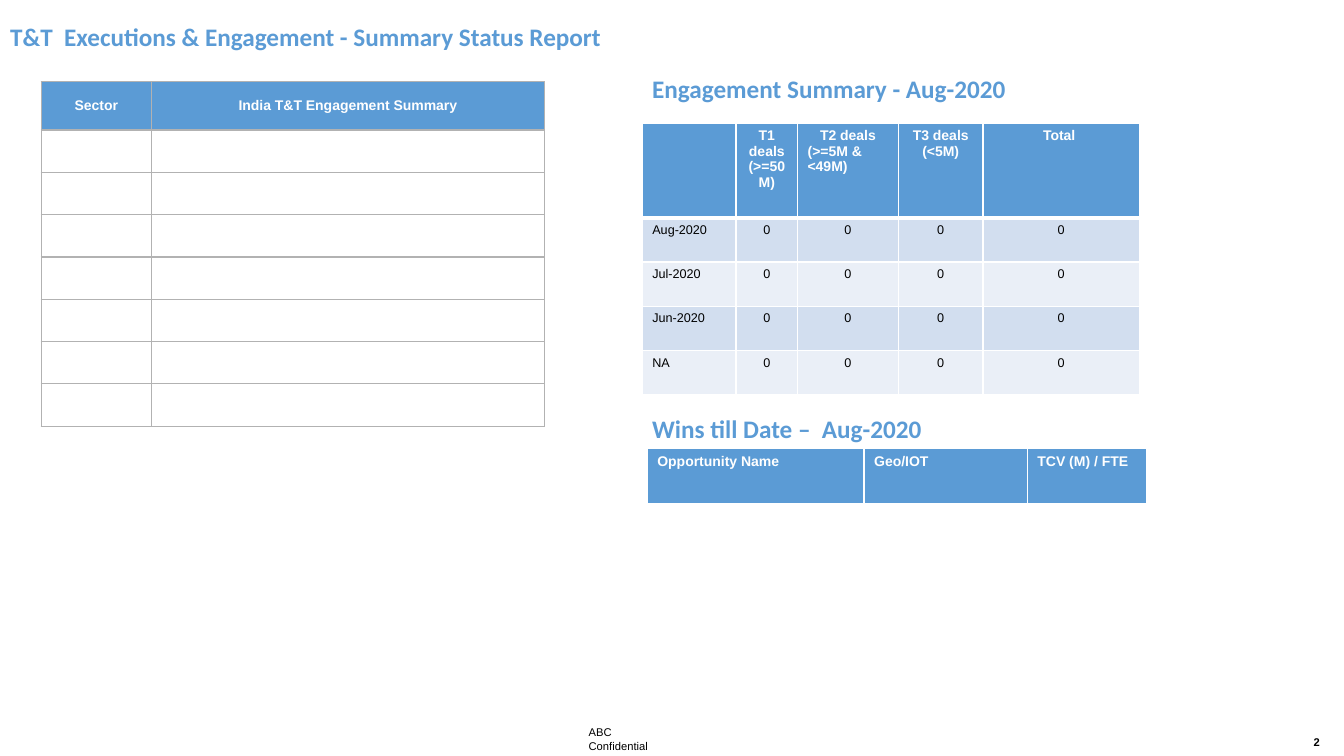
from lxml.etree import SubElement
from pptx import Presentation
from pptx.dml.color import RGBColor
from pptx.enum.text import MSO_ANCHOR, PP_ALIGN
from pptx.oxml.ns import qn
from pptx.util import Inches, Pt

BLUE, WHITE, BLACK, GRAY = "5B9BD5", "FFFFFF", "000000", "B2B2B2"
BANDS = ("D2DEEF", "EAEFF7")
LEFT, MID = PP_ALIGN.LEFT, PP_ALIGN.CENTER


def color(code):
    """Turn a hex string into a colour."""
    return RGBColor.from_string(code)


def style(frame, size, code, bold=False, face="Arial", align=LEFT, space=None):
    """Format every paragraph of a text frame."""
    for para in frame.paragraphs:
        font = para.font
        font.name, font.size, font.bold = face, Pt(size), bold
        font.color.rgb = color(code)
        para.alignment = align
        para.line_spacing = space


def place(shape, box):
    """Move and size a shape."""
    shape.left, shape.top, shape.width, shape.height = map(Inches, box)


def label(slide, text, box, size=8, bold=False, wrap=True):
    """Add a small black text box."""
    shape = slide.shapes.add_textbox(*map(Inches, box))
    frame = shape.text_frame
    frame.text, frame.word_wrap = text, wrap
    style(frame, size, BLACK, bold)
    return shape


def head(shape, text, box):
    """Fill a title or text box with a blue heading."""
    place(shape, box)
    frame = shape.text_frame
    frame.text, frame.word_wrap = text, True
    frame.vertical_anchor = MSO_ANCHOR.TOP
    style(frame, 18, BLUE, True, "Calibri", space=0.9)


def border(cell, code, top=1, base=1):
    """Draw the four edges of a cell, before its fill is set."""
    props = cell._tc.get_or_add_tcPr()
    for side, width in zip("LRTB", (1, 1, top, base)):
        line = SubElement(props, qn(f"a:ln{side}"), w=str(Pt(width)))
        fill = SubElement(line, qn("a:solidFill"))
        SubElement(fill, qn("a:srgbClr"), val=code)


def grid(slide, spot, widths, heights, rows, fills, edge=WHITE, rule=3,
         first=LEFT, rest=LEFT, anchor=MSO_ANCHOR.TOP):
    """Add a table with a blue header, cycling fills below it."""
    box = (*spot, sum(widths), sum(heights))
    frame = slide.shapes.add_table(len(rows), len(widths), *map(Inches, box))
    table = frame.table
    table.first_row = table.horz_banding = False
    for col, width in zip(table.columns, widths):
        col.width = Inches(width)
    for r, (row, height) in enumerate(zip(rows, heights)):
        table.rows[r].height = Inches(height)
        for c, text in enumerate(row):
            cell = table.cell(r, c)
            border(cell, edge, rule if r == 1 else 1, rule if r == 0 else 1)
            cell.fill.solid()
            shade = fills[(r - 1) % len(fills)] if r else BLUE
            cell.fill.fore_color.rgb = color(shade)
            cell.text, cell.vertical_anchor = text, anchor
            size, ink = (9, BLACK) if r else (10, WHITE)
            style(cell.text_frame, size, ink, r == 0,
                  align=rest if c else first)
    return table


def main():
    """Build the status report slide."""
    deck = Presentation()
    deck.slide_width, deck.slide_height = Inches(13.33), Inches(7.5)
    slide = deck.slides.add_slide(deck.slide_layouts[5])

    head(slide.shapes.title,
         "T&T  Executions & Engagement - Summary Status Report",
         (0, 0.2, 9.4, 0.36))
    for text, top in (("Engagement Summary - Aug-2020", 0.71),
                      ("Wins till Date –  Aug-2020", 4.09)):
        box = (6.37, top, 6.9, 0.36)
        head(label(slide, text, box), text, box)

    sector = [("Sector", "India T&T Engagement Summary")] + [("", "")] * 7
    grid(slide, (0.41, 0.81), (1.09, 3.9), [0.48] + [0.42] * 7, sector,
         [WHITE], GRAY, 1, MID, MID, MSO_ANCHOR.MIDDLE)

    months = ("Aug-2020", "Jul-2020", "Jun-2020", "NA")
    deals = [("", "T1 deals\n(>=50M)", "T2 deals\n(>=5M & <49M)",
              "T3 deals\n(<5M)", "Total ")]
    deals += [(month, *"0000") for month in months]
    table = grid(slide, (6.37, 1.22), (0.93, 0.61, 1, 0.84, 1.55),
                 [0.94] + [0.44] * 4, deals, BANDS, rest=MID)
    table.cell(0, 2).text_frame.paragraphs[1].alignment = LEFT

    wins = [("Opportunity Name ", "Geo/IOT", "TCV (M) / FTE")]
    grid(slide, (6.42, 4.45), (2.15, 1.62, 1.18), [0.56], wins, BANDS)

    label(slide, "ABC Confidential", (5.74, 7.15, 1.03, 0.24), wrap=False)
    label(slide, "2", (12.93, 7.25, 0.4, 0.2), bold=True)
    deck.save("out.pptx")


main()
